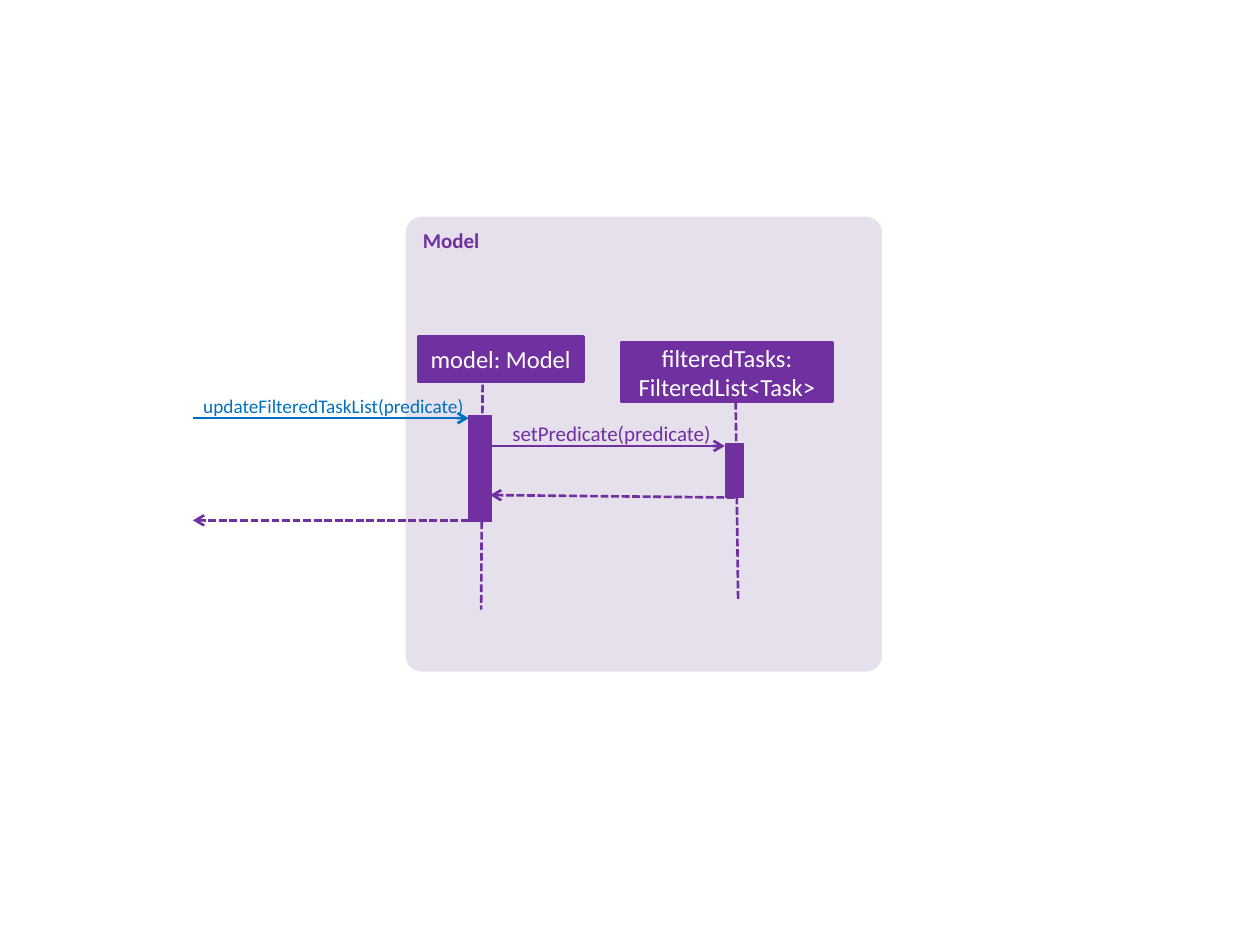
import pptx
import pptx.dml.color
import pptx.enum.dml
import pptx.enum.shapes
import pptx.enum.text
import pptx.oxml.ns
import pptx.util
from lxml import etree

Cm = pptx.util.Cm
Pt = pptx.util.Pt
RGBColor = pptx.dml.color.RGBColor
Align = pptx.enum.text.PP_ALIGN
Anchor = pptx.enum.text.MSO_ANCHOR
Shape = pptx.enum.shapes.MSO_SHAPE

PURPLE = RGBColor(0x70, 0x30, 0xA0)
BLUE = RGBColor(0x00, 0x70, 0xC0)
LILAC = RGBColor(0xE6, 0xE0, 0xEC)
WHITE = RGBColor(0xFF, 0xFF, 0xFF)
FONT = "Calibri"

PANEL = ("Model", (8.18, 4.37, 9.6, 9.17))
LIFELINES = [
    ((9.73, 7.54), (9.7, 12.29)),
    ((14.83, 8.1), (14.88, 12.12)),
]
PARTICIPANTS = [
    ("model: Model", (8.43, 6.78, 3.33, 0.91)),
    ("filteredTasks: FilteredList<Task>", (12.52, 6.91, 4.27, 1.19)),
]
ACTIVATIONS = [(9.45, 8.38, 0.46, 2.13), (14.63, 8.94, 0.36, 1.09)]
CALLS = [
    ((3.89, 8.43), (9.45, 8.43), BLUE),
    ((9.88, 8.99), (14.61, 8.99), PURPLE),
]
RETURNS = [
    ((14.81, 10.03), (9.88, 9.98)),
    ((9.45, 10.49), (3.89, 10.49)),
]
LABELS = [
    ("updateFilteredTaskList(predicate)", (3.89, 7.95, 5.46, 0.46), 11, BLUE),
    ("setPredicate(predicate)", (10.06, 8.48, 4.27, 0.51), 12, PURPLE),
]


def write(shape, text, size, color, alignment, bold=False):
    shape.text_frame.word_wrap = True
    shape.text_frame.text = text
    paragraph = shape.text_frame.paragraphs[0]
    paragraph.alignment = alignment
    font = paragraph.runs[0].font
    font.name, font.size, font.bold = FONT, Pt(size), bold
    font.color.rgb = color


def add_block(slide, kind, box, fill, line_width=0):
    shape = slide.shapes.add_shape(kind, *map(Cm, box))
    shape.shadow.inherit = False
    shape.fill.solid()
    shape.fill.fore_color.rgb = fill
    if line_width:
        shape.line.color.rgb = fill
        shape.line.width = Pt(line_width)
    else:
        shape.line.fill.background()
    return shape


def add_line(slide, start, end, color=PURPLE, dashed=False, arrow=False):
    connector = slide.shapes.add_connector(
        pptx.enum.shapes.MSO_CONNECTOR.STRAIGHT, *map(Cm, start + end))
    connector.line.color.rgb = color
    connector.line.width = Pt(1.5)
    if dashed:
        connector.line.dash_style = pptx.enum.dml.MSO_LINE.SQUARE_DOT
    if arrow:
        etree.SubElement(connector.line._get_or_add_ln(),
                         pptx.oxml.ns.qn("a:tailEnd"), type="arrow")
    etree.SubElement(connector._element.spPr, pptx.oxml.ns.qn("a:effectLst"))


def main():
    presentation = pptx.Presentation()
    presentation.slide_width, presentation.slide_height = Cm(25.4), Cm(19.05)
    slide = presentation.slides.add_slide(presentation.slide_layouts[6])

    title, box = PANEL
    panel = add_block(slide, Shape.ROUNDED_RECTANGLE, box, LILAC)
    panel.adjustments[0] = 0.035
    panel.text_frame.vertical_anchor = Anchor.TOP
    write(panel, title, 12, PURPLE, Align.LEFT, bold=True)

    for start, end in LIFELINES:
        add_line(slide, start, end, dashed=True)
    for name, box in PARTICIPANTS:
        participant = add_block(slide, Shape.RECTANGLE, box, PURPLE, 1.5)
        participant.text_frame.vertical_anchor = Anchor.MIDDLE
        write(participant, name, 14, WHITE, Align.CENTER)
    for box in ACTIVATIONS:
        add_block(slide, Shape.RECTANGLE, box, PURPLE, 0.75)
    for start, end, color in CALLS:
        add_line(slide, start, end, color, arrow=True)
    for start, end in RETURNS:
        add_line(slide, start, end, dashed=True, arrow=True)

    for text, box, size, color in LABELS:
        label = slide.shapes.add_textbox(*map(Cm, box))
        frame = label.text_frame
        frame.margin_left = frame.margin_right = 0
        frame.margin_top = frame.margin_bottom = 0
        write(label, text, size, color, Align.RIGHT)

    presentation.save("out.pptx")


if __name__ == "__main__":
    main()
